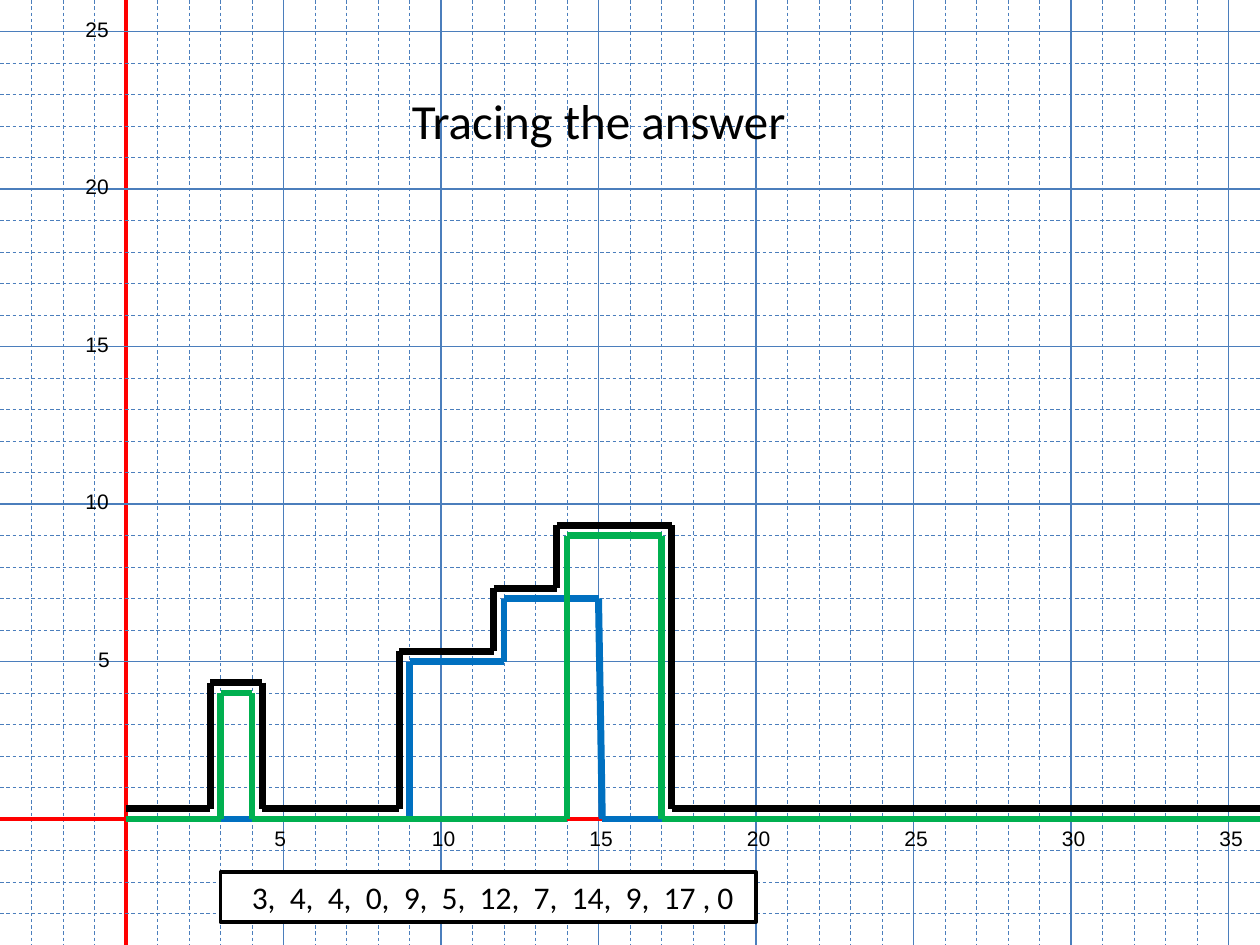
import pptx
import pptx.util
import pptx.dml.color
import pptx.enum.dml
import pptx.enum.shapes
import pptx.enum.text
import pptx.oxml

WIDTH, HEIGHT, CELL = 10, 7.5, 0.25
ORIGIN_X, ORIGIN_Y = 1, 6.5
COLORS = {"grid": "4B7EBC", "axis": "FF0000", "blue": "0070C0",
          "green": "00B050", "black": "000000", "white": "FFFFFF"}
LINES = {
    "minor": {"color": "grid", "width": 0.5, "dash": True},
    "major": {"color": "grid", "width": 0.75},
    "axis": {"color": "axis", "width": 2},
}

# Corners of each skyline, in grid units from the origin
GAP = 0.33
TRACES = [
    ("blue", [(0, 0), (9, 0), (9, 5), (12, 5), (12, 7), (15, 7),
              (15.12, 0), (36, 0)]),
    ("green", [(0, 0), (3, 0), (3, 4), (4, 4), (4, 0), (14, 0), (14, 9),
               (17, 9), (17, 0), (36, 0)]),
    ("black", [(0, GAP), (3 - GAP, GAP), (3 - GAP, 4 + GAP),
               (4 + GAP, 4 + GAP), (4 + GAP, GAP), (9 - GAP, GAP),
               (9 - GAP, 5 + GAP), (12 - GAP, 5 + GAP),
               (12 - GAP, 7 + GAP), (14 - GAP, 7 + GAP),
               (14 - GAP, 9 + GAP), (17 + GAP, 9 + GAP),
               (17 + GAP, GAP), (36, GAP)]),
]
X_LABELS = range(5, 36, 5)
Y_LABELS = range(5, 26, 5)
TITLE = "Tracing the answer"
ANSWER = ("3, \u00a04, \u00a04, \u00a00, \u00a09, \u00a05, \u00a012, "
          "\u00a07, \u00a014, \u00a09, \u00a017 ,\u00a00")


def color(name):
    """Return the named colour."""
    return pptx.dml.color.RGBColor.from_string(COLORS[name])


def place(x, y):
    """Turn grid units into inches on the slide."""
    return ORIGIN_X + x * CELL, ORIGIN_Y - y * CELL


def add_line(shapes, start, end, style):
    """Draw a straight line between two points in inches."""
    ends = [pptx.util.Inches(value) for value in (*start, *end)]
    line = shapes.add_connector(
        pptx.enum.shapes.MSO_CONNECTOR.STRAIGHT, *ends)
    line.line.color.rgb = color(style["color"])
    line.line.width = pptx.util.Pt(style["width"])
    if style.get("dash"):
        line.line.dash_style = pptx.enum.dml.MSO_LINE.DASH
    properties = line._element.spPr
    properties.append(pptx.oxml.parse_xml(
        '<a:effectLst xmlns:a='
        '"http://schemas.openxmlformats.org/drawingml/2006/main"/>'))


def fill_text(box, pieces, wrap=True):
    """Write (text, font values) pieces as one left-aligned paragraph."""
    frame = box.text_frame
    frame.word_wrap = wrap
    frame.auto_size = pptx.enum.text.MSO_AUTO_SIZE.SHAPE_TO_FIT_TEXT
    frame.vertical_anchor = pptx.enum.text.MSO_ANCHOR.TOP
    para = frame.paragraphs[0]
    para.alignment = pptx.enum.text.PP_ALIGN.LEFT
    for text, values in pieces:
        span = para.add_run()
        span.text = text
        span.font.color.rgb = color("black")
        for key, value in values.items():
            setattr(span.font, key, value)


def add_text(shapes, area, text, font, size, wrap=True):
    """Add a text box with one run of text."""
    box = shapes.add_textbox(*[pptx.util.Inches(value) for value in area])
    fill_text(box, [(text, {"name": font, "size": pptx.util.Pt(size)})], wrap)


def line_style(steps):
    """Choose the style of a grid line by its distance from the axis."""
    if steps == 0:
        return LINES["axis"]
    return LINES["minor" if steps % 5 else "major"]


def add_grid(shapes):
    """Draw the grid lines, the axes and their numbers."""
    for column in range(1, int(WIDTH / CELL)):
        x = column * CELL
        steps = column - int(ORIGIN_X / CELL)
        add_line(shapes, (x, 0), (x, HEIGHT), line_style(steps))
    for row in range(1, int(HEIGHT / CELL)):
        y = row * CELL
        steps = int(ORIGIN_Y / CELL) - row
        add_line(shapes, (0, y), (WIDTH, y), line_style(steps))
    for number in X_LABELS:
        width = 0.29 if number < 10 else 0.39
        left = min(place(number, 0)[0] - 0.17, WIDTH - width)
        add_text(shapes, (left, ORIGIN_Y, width, 0.3), str(number),
                 "Arial", 12, wrap=False)
    for number in Y_LABELS:
        width = 0.29 if number < 10 else 0.39
        top = place(0, number)[1] - 0.17
        add_text(shapes, (0.97 - width, top, width, 0.3), str(number),
                 "Arial", 12, wrap=False)


def add_answer(shapes):
    """Add the framed list of skyline values."""
    area = [pptx.util.Inches(value) for value in (1.75, 6.92, 4.25, 0.4)]
    box = shapes.add_shape(pptx.enum.shapes.MSO_SHAPE.RECTANGLE, *area)
    box.shadow.inherit = False
    box.fill.solid()
    box.fill.fore_color.rgb = color("white")
    box.line.color.rgb = color("black")
    box.line.width = pptx.util.Pt(2)
    size = pptx.util.Pt(18)
    fill_text(box, [
        (" ", {"name": "Courier New", "size": size, "bold": True}),
        (ANSWER, {"name": "Calibri", "size": size, "bold": False}),
    ])


deck = pptx.Presentation()
deck.slide_width = pptx.util.Inches(WIDTH)
deck.slide_height = pptx.util.Inches(HEIGHT)
page = deck.slides.add_slide(deck.slide_layouts[6])

add_grid(page.shapes.add_group_shape().shapes)
for name, corners in TRACES:
    points = [place(x, y) for x, y in corners]
    for start, end in zip(points, points[1:]):
        add_line(page.shapes, start, end, {"color": name, "width": 4})
add_answer(page.shapes)
add_text(page.shapes, (3.17, 0.67, 3.42, 0.57), TITLE, "Calibri", 28)

deck.save("out.pptx")
